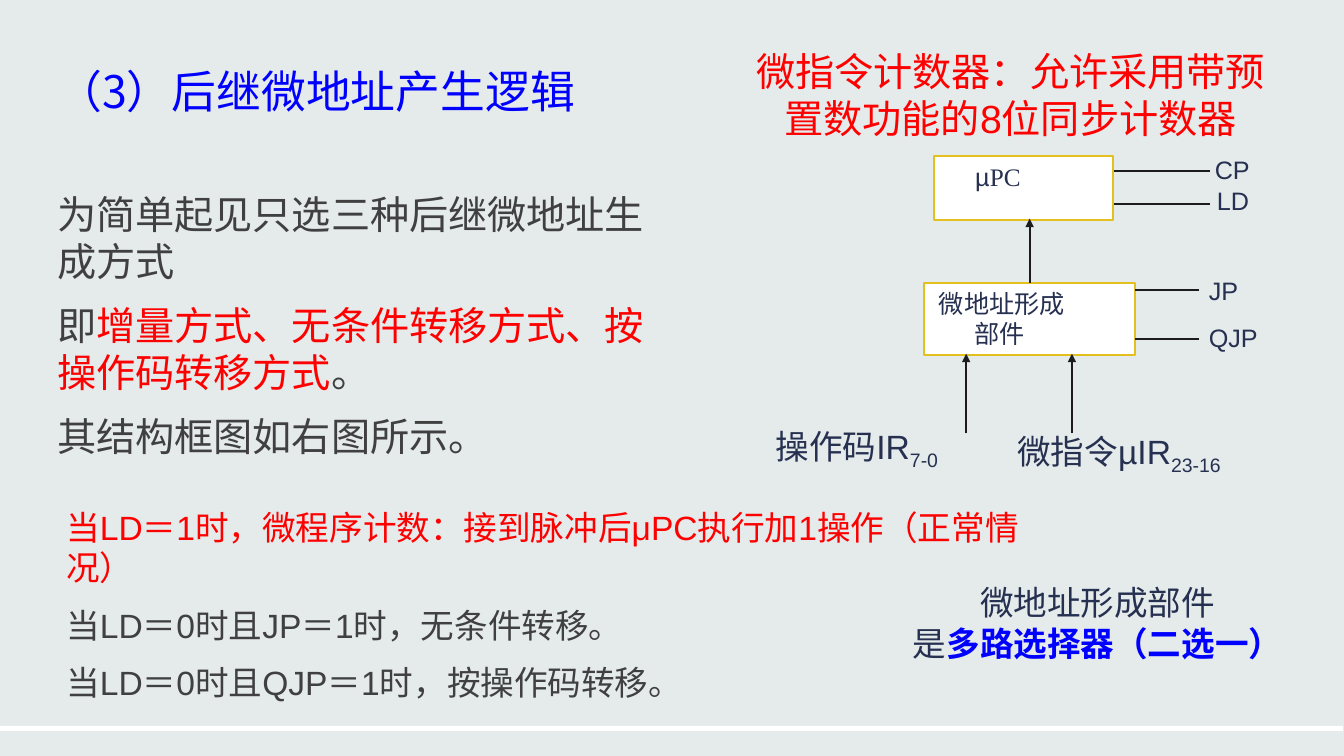
import pptx
import pptx.util
import pptx.dml.color
import pptx.enum.shapes
import pptx.enum.text
import pptx.oxml.ns
import lxml.etree

PX = 9144
THEME = {
    "back": "E5EAEA", "white": "FFFFFF", "gold": "E3C01E", "line": "1C1C1C",
    "navy": "263050", "gray": "404040", "red": "FF0000", "blue": "0000FF",
    "sans": "Arial", "serif": "Times New Roman", "cjk": "Noto Sans CJK SC",
    "small": 18, "mid": 24, "big": 28, "head": 32,
}
Pt = pptx.util.Pt
SHAPE = pptx.enum.shapes.MSO_SHAPE
ANCHOR = pptx.enum.text.MSO_ANCHOR
ALIGN = pptx.enum.text.PP_ALIGN


def color(name):
    return pptx.dml.color.RGBColor.from_string(THEME[name])


def write(shape, paras, size, ink="navy", font="sans", align=ALIGN.LEFT,
          anchor=ANCHOR.MIDDLE, gap=0):
    """Fill a shape; each paragraph is a list of (text, run style) pairs."""
    frame = shape.text_frame
    frame.word_wrap = True
    frame.vertical_anchor = anchor
    for i, runs in enumerate(paras):
        para = frame.paragraphs[0] if i == 0 else frame.add_paragraph()
        para.alignment = align
        para.space_before = Pt(gap if i else 0)
        para.space_after = Pt(gap)
        para.font.size = Pt(THEME[size])
        para.font.name = THEME[font]
        inks = {style.get("ink", ink) for _, style in runs}
        if len(inks) == 1:
            para.font.color.rgb = color(inks.pop())
        for text, style in runs:
            run = para.add_run()
            run.text = text
            if inks:
                run.font.color.rgb = color(style.get("ink", ink))
            if "font" in style:
                run.font.name = THEME[style["font"]]
            if "bold" in style:
                run.font.bold = True
            if "sub" in style:
                run.font._element.set("baseline", "-25000")
    return frame


deck = pptx.Presentation()
deck.slide_width, deck.slide_height = 1334 * PX, 750 * PX
slide = deck.slides.add_slide(deck.slide_layouts[6])
slide.background.fill.solid()
slide.background.fill.fore_color.rgb = color("back")
shapes = slide.shapes

# White strip and the two diagram blocks
blocks = []
for x, y, w, h, edge in [(0, 720, 1333, 5, None),
                         (927, 155, 178, 63, "gold"),
                         (917, 281, 210, 71, "gold")]:
    block = shapes.add_shape(SHAPE.RECTANGLE, x * PX, y * PX, w * PX, h * PX)
    block.shadow.inherit = False
    block.fill.solid()
    block.fill.fore_color.rgb = color("white")
    if edge:
        block.line.color.rgb = color(edge)
        block.line.width = Pt(1.5)
    else:
        block.line.fill.background()
    blocks.append(block)
strip, count, former = blocks

frame = write(count, [[("µ", {}), ("PC", {"font": "serif"})]], "small",
              anchor=ANCHOR.TOP)
frame.margin_left = 41 * PX
frame = write(former, [[("微地址形成", {})], [("部件", {})]], "small",
              font="serif", anchor=ANCHOR.TOP)
frame.margin_left = 15 * PX
frame.paragraphs[1]._p.get_or_add_pPr().set("marL", str(35 * PX))

# Signal lines, then upward arrows
for x1, y1, x2, y2 in [(1106, 170, 1201, 170), (1106, 202, 1201, 202),
                       (1127, 288, 1190, 288), (1127, 336, 1190, 336),
                       (1022, 281, 1022, 217), (959, 430, 959, 351),
                       (1064, 430, 1064, 351)]:
    wire = shapes.add_connector(pptx.enum.shapes.MSO_CONNECTOR.STRAIGHT,
                                x1 * PX, y1 * PX, x2 * PX, y2 * PX)
    wire.line.color.rgb = color("line")
    wire.line.width = Pt(1.5)
    if x1 == x2:
        tip = lxml.etree.SubElement(wire.line._get_or_add_ln(),
                                    pptx.oxml.ns.qn("a:tailEnd"))
        tip.set("type", "triangle")
    lxml.etree.SubElement(wire._element.spPr, pptx.oxml.ns.qn("a:effectLst"))

# Diagram labels
for x, y, w, h, size, runs in [
        (1196, 153, 96, 30, "small", [("CP", {})]),
        (1198, 176, 84, 45, "small", [("LD", {})]),
        (1190, 273, 96, 30, "small", [("JP", {})]),
        (1190, 320, 96, 29, "small", [("QJP", {})]),
        (760, 425, 252, 40, "mid", [("操作码IR", {}), ("7-0", {"sub": True})]),
        (1000, 430, 307, 40, "mid", [("微指令µIR", {}), ("23-16", {"sub": True})])]:
    label = shapes.add_textbox(x * PX, y * PX, w * PX, h * PX)
    write(label, [runs], size)

note = shapes.add_textbox(881 * PX, 569 * PX, 417 * PX, 97 * PX)
write(note, [[("微地址形成部件", {})],
             [("是", {}), ("多路选择器（二选一）", {"ink": "blue", "bold": True})]],
      "mid", font="serif", align=ALIGN.CENTER)

# Heading and explanation
body = shapes.add_textbox(47 * PX, 58 * PX, 630 * PX, 466 * PX)
frame = write(body, [
    [("（3）后继微地址产生逻辑", {"ink": "blue"})],
    [("为简单起见只选三种后继微地址生成方式", {})],
    [("即", {}), ("增量方式、无条件转移方式、按操作码转移方式", {"ink": "red"}),
     ("。", {})],
    [("其结构框图如右图所示。", {})]],
    "big", ink="gray", anchor=ANCHOR.TOP, gap=6)
title, intro = frame.paragraphs[:2]
title.font.size = Pt(THEME["head"])
title.font.name = THEME["cjk"]
title.space_after = Pt(0)
intro.space_before = Pt(52)

cases = shapes.add_textbox(56 * PX, 498 * PX, 1008 * PX, 252 * PX)
write(cases, [
    [("当LD＝1时，微程序计数：接到脉冲后μPC执行加1操作（正常情况）", {"ink": "red"})],
    [("当LD＝0时且JP＝1时，无条件转移。", {})],
    [("当LD＝0时且QJP＝1时，按操作码转移。", {})]],
    "mid", ink="gray", anchor=ANCHOR.TOP, gap=6)

top = shapes.add_textbox(730 * PX, 49 * PX, 546 * PX, 90 * PX)
write(top, [[("微指令计数器：允许采用带预置数功能的8位同步计数器", {})]],
      "big", ink="red", align=ALIGN.CENTER)

deck.save("out.pptx")
